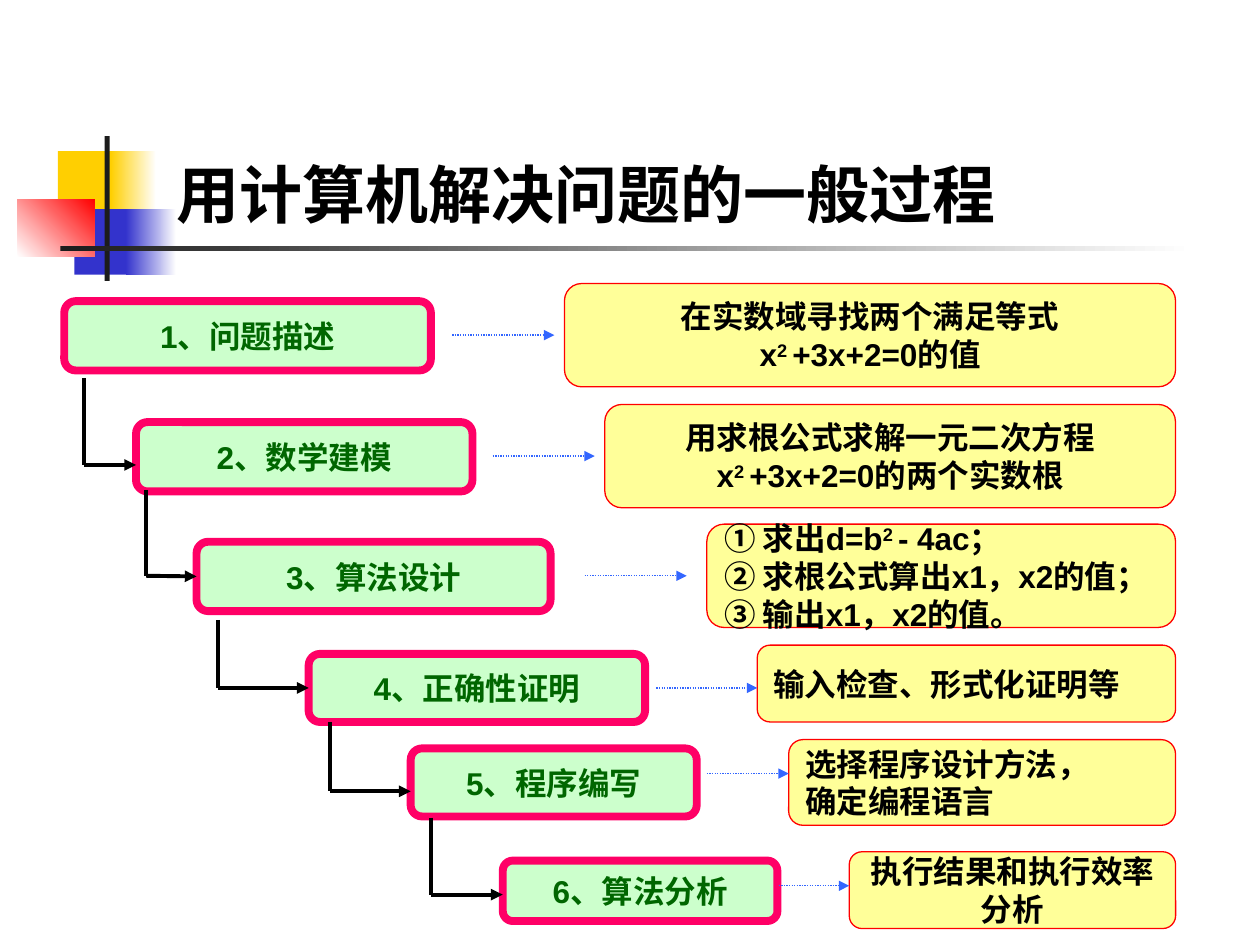
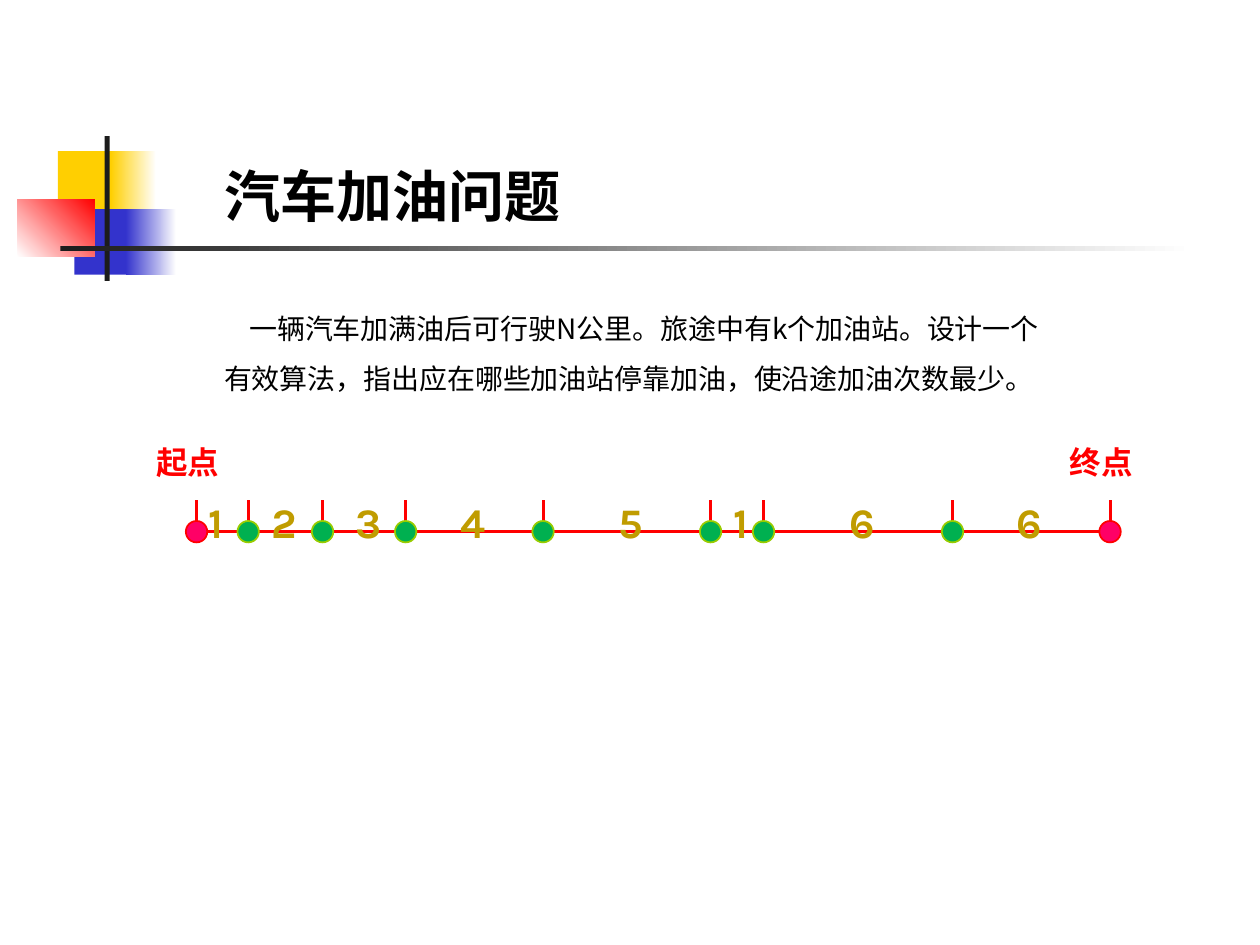
from lxml import etree
from pptx import Presentation
from pptx.dml.color import RGBColor
from pptx.enum.dml import MSO_LINE
from pptx.enum.shapes import MSO_CONNECTOR, MSO_SHAPE
from pptx.enum.text import MSO_ANCHOR, PP_ALIGN
from pptx.oxml.ns import qn
from pptx.util import Inches, Pt

RECT, ROUNDED, OVAL = MSO_SHAPE.RECTANGLE, MSO_SHAPE.ROUNDED_RECTANGLE, MSO_SHAPE.OVAL
STRAIGHT = MSO_CONNECTOR.STRAIGHT
DOTTED = MSO_LINE.ROUND_DOT
LEFT, CENTER = PP_ALIGN.LEFT, PP_ALIGN.CENTER
TOP, MIDDLE, BOTTOM = MSO_ANCHOR.TOP, MSO_ANCHOR.MIDDLE, MSO_ANCHOR.BOTTOM
LEFT_SIDE = 1

CJK_FONT = "Noto Sans CJK SC"
COLORS = {
    "white": "FFFFFF", "black": "000000", "ink": "1C1C1C",
    "gold": "FFCF01", "blue": "3333CC", "red": "FF0000",
    "pink": "FF0066", "mint": "CCFFCC", "step_text": "006600",
    "note": "FFFF99", "dotted": "3366FF", "distance": "C09C00",
    "station": "00B050", "station_edge": "99CC00",
}

EMBLEM = (0.14, 1.08, 9.34, 1.15)
EMBLEM_PARTS = [
    ((0.32, 0.12, 0.48, 0.52), "gold", None, 0),
    ((0.74, 0.12, 0.36, 0.52), "gold", "white", 0),
    ((0.45, 0.58, 0.46, 0.52), "blue", None, 0),
    ((0.86, 0.58, 0.40, 0.52), "blue", "white", 0),
    ((0.00, 0.50, 0.61, 0.46), "white", "red", 45),
    ((0.69, 0.00, 0.04, 1.15), "ink", None, 0),
    ((0.34, 0.87, 9.00, 0.04), "ink", "white", 0),
]

NOTE_RIGHT = 9.33
STEPS = [
    {"label": "1、问题描述", "box": (0.51, 2.39, 2.91, 0.55),
     "note": ["在实数域寻找两个满足等式", "x^2 ^+3x+2=0的值"],
     "note_at": (4.48, 2.25, 0.82), "align": CENTER,
     "arrow": (3.59, 4.40, 2.66), "elbow": (0.67, 3.00, 3.69)},
    {"label": "2、数学建模", "box": (1.08, 3.35, 2.67, 0.55),
     "note": ["用求根公式求解一元二次方程", "x^2 ^+3x+2=0的两个实数根"],
     "note_at": (4.80, 3.21, 0.82), "align": CENTER,
     "arrow": (3.91, 4.72, 3.62), "elbow": (1.16, 3.89, 4.57)},
    {"label": "3、算法设计", "box": (1.56, 4.30, 2.81, 0.55),
     "note": ["① 求出d=b^2 ^- 4ac；", "② 求根公式算出x1，x2的值；",
              "③ 输出x1，x2的值。"],
     "note_at": (5.61, 4.16, 0.82), "align": LEFT,
     "arrow": (4.64, 5.45, 4.57), "elbow": (1.73, 4.92, 5.46)},
    {"label": "4、正确性证明", "box": (2.45, 5.19, 2.67, 0.54),
     "note": ["输入检查、形式化证明等"],
     "note_at": (6.01, 5.12, 0.61), "align": LEFT,
     "arrow": (5.21, 6.01, 5.46), "elbow": (2.62, 5.73, 6.28)},
    {"label": "5、程序编写", "box": (3.26, 5.94, 2.27, 0.54),
     "note": ["选择程序设计方法，", "确定编程语言"],
     "note_at": (6.26, 5.87, 0.68), "align": LEFT,
     "arrow": (5.61, 6.26, 6.14), "elbow": (3.42, 6.49, 7.10)},
    {"label": "6、算法分析", "box": (3.99, 6.83, 2.18, 0.48),
     "note": ["执行结果和执行效率", "分析"],
     "note_at": (6.74, 6.76, 0.61), "align": CENTER,
     "arrow": (6.18, 6.74, 7.03), "elbow": None},
]

STOPS = [0, 0.41, 1, 1.66, 2.75, 4.08, 4.5, 6, 7.25]
DISTANCES = [
    ("1", 0, 0.25), ("2", 0.5, 0.33), ("3", 1.16, 0.42), ("4", 2, 0.42),
    ("5", 3.25, 0.42), ("1", 4.16, 0.42), ("6", 5.08, 0.42), ("6", 6.41, 0.42),
]
ENDPOINTS = [("起点", -0.42, 0.83), ("终点", 6.83, 1)]


def color(name):
    """Return the named colour."""
    return RGBColor.from_string(COLORS[name])


def shift(box, left, top):
    """Move a box by the given offset."""
    return box[0] + left, box[1] + top, box[2], box[3]


def write(shape, lines, size=18, font="Arial", ink="black", bold=True, align=LEFT,
          anchor=TOP, wrap=True, spacing=None, first_indent=0):
    """Fill a shape with lines of text; pieces between carets are raised."""
    frame = shape.text_frame
    frame.word_wrap = wrap
    frame.vertical_anchor = anchor
    for number, line in enumerate(lines):
        para = frame.add_paragraph() if number else frame.paragraphs[0]
        para.alignment = align
        if spacing:
            para.line_spacing = spacing
        if first_indent:
            para._p.get_or_add_pPr().set("indent", str(Inches(first_indent)))
        for index, piece in enumerate(line.split("^")):
            span = para.add_run()
            span.text = piece
            span.font.name = font
            span.font.size = Pt(size)
            span.font.bold = bold
            span.font.color.rgb = color(ink)
            properties = span._r.get_or_add_rPr()
            etree.SubElement(properties, qn("a:ea")).set("typeface", CJK_FONT)
            if index % 2:
                properties.set("baseline", "30000")


def add_text(page, box, lines, **style):
    """Add a text box."""
    write(page.shapes.add_textbox(*map(Inches, box)), lines, **style)


def add_block(page, kind, box, fill, fade=None, angle=0, edge=None, width=1):
    """Add a preset shape with a solid or fading fill."""
    shape = page.shapes.add_shape(kind, *map(Inches, box))
    shape.shadow.inherit = False
    if fade:
        shape.fill.gradient()
        shape.fill.gradient_angle = angle
        for stop, name in zip(shape.fill.gradient_stops, (fill, fade)):
            stop.color.rgb = color(name)
    else:
        shape.fill.solid()
        shape.fill.fore_color.rgb = color(fill)
    if edge:
        shape.line.color.rgb = color(edge)
        shape.line.width = Pt(width)
    else:
        shape.line.fill.background()
    return shape


def add_line(page, start, end, ink, width, dash=None, arrow=False):
    """Add a straight connector."""
    line = page.shapes.add_connector(STRAIGHT, *map(Inches, start + end))
    line.line.color.rgb = color(ink)
    line.line.width = Pt(width)
    if dash:
        line.line.dash_style = dash
    if arrow:
        outline = line.line._get_or_add_ln()
        etree.SubElement(outline, qn("a:tailEnd")).set("type", "triangle")
    etree.SubElement(line._element.spPr, qn("a:effectLst"))
    return line


def draw_emblem(page, box):
    """Draw the coloured squares and rules beside the title."""
    for part, fill, fade, angle in EMBLEM_PARTS:
        add_block(page, RECT, shift(part, box[0], box[1]), fill, fade, angle)


def add_page(deck, title, box, **style):
    """Add a slide with the emblem and its title."""
    page = deck.slides.add_slide(deck.slide_layouts[6])
    draw_emblem(page, EMBLEM)
    add_text(page, box, [title], **style)
    return page


def draw_step(page, step, box):
    """Draw one step with its note and dotted arrow, and return the step box."""
    label = add_block(page, ROUNDED, box, "mint", edge="pink", width=4.5)
    write(label, [step["label"]], ink="step_text", align=CENTER, anchor=MIDDLE, wrap=False)
    left, top, height = step["note_at"]
    note = add_block(page, ROUNDED, (left, top, NOTE_RIGHT - left, height),
                     "note", edge="red", width=0.75)
    write(note, step["note"], align=step["align"], anchor=MIDDLE)
    start, end, level = step["arrow"]
    add_line(page, (start, level), (end, level), "dotted", 0.75, DOTTED, arrow=True)
    return label


def draw_elbow(page, elbow, box, target):
    """Draw the turn that leads down to the next step."""
    column, start, level = elbow
    middle = box[1] + box[3] / 2
    add_line(page, (column, start), (column, level), "black", 2.25)
    foot = add_line(page, (column, level), (box[0], level), "black", 2.25, arrow=True)
    if abs(level - middle) < 0.02:
        foot.end_connect(target, LEFT_SIDE)


def draw_road(page, box):
    """Draw the road with its stops, distances and end labels."""
    left, top, width, tick = box
    road = top + tick
    add_line(page, (left, road), (left + width, road), "red", 1.75)
    for stop in STOPS:
        add_line(page, (left + stop, top), (left + stop, road), "red", 1.75)
    for text, offset, label_width in ENDPOINTS:
        add_text(page, (left + offset, top - 0.5, label_width, 0.4), [text], ink="red")
    for text, offset, label_width in DISTANCES:
        add_text(page, (left + offset, top - 0.08, label_width, 0.4), [text],
                 size=24, font="Karla", ink="distance")
    size = 0.17
    for stop in STOPS:
        fill, edge = ("pink", "red") if stop in (STOPS[0], STOPS[-1]) else ("station", "station_edge")
        add_block(page, OVAL, (left + stop - size / 2, road - size / 2, size, size), fill, edge=edge)


def build_process(deck):
    """Build the slide on the steps of solving a problem."""
    page = add_page(deck, "用计算机解决问题的一般过程", (1.3, 1, 8.17, 0.88),
                    size=36, font="Karla", anchor=BOTTOM)
    labels = [draw_step(page, step, step["box"]) for step in STEPS]
    for step, following, label in zip(STEPS, STEPS[1:], labels[1:]):
        draw_elbow(page, step["elbow"], following["box"], label)


def build_refuelling(deck):
    """Build the slide on the refuelling problem."""
    page = add_page(deck, "汽车加油问题", (1.68, 1.23, 2.89, 0.64),
                    size=32, font=CJK_FONT, wrap=False)
    add_text(page, (1.68, 2.29, 6.82, 0.94),
             ["一辆汽车加满油后可行驶N公里。旅途中有k个加油站。设计一个有效算法，"
              "指出应在哪些加油站停靠加油，使沿途加油次数最少。"],
             size=16, font=CJK_FONT, bold=False, spacing=1.5, first_indent=0.2)
    draw_road(page, (1.56, 3.97, 7.25, 0.25))


def main():
    """Build and save the deck."""
    deck = Presentation()
    deck.slide_width, deck.slide_height = Inches(10), Inches(7.5)
    build_process(deck)
    build_refuelling(deck)
    deck.save("out.pptx")


if __name__ == "__main__":
    main()
